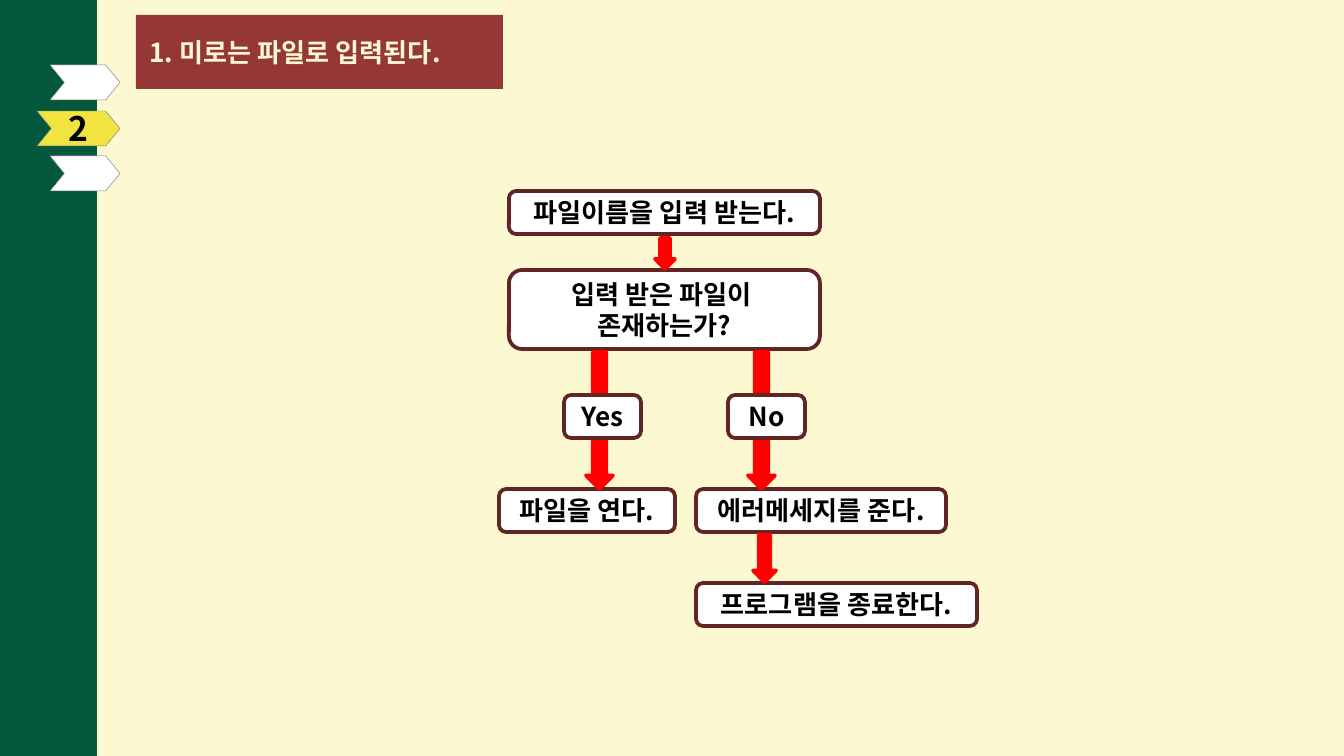
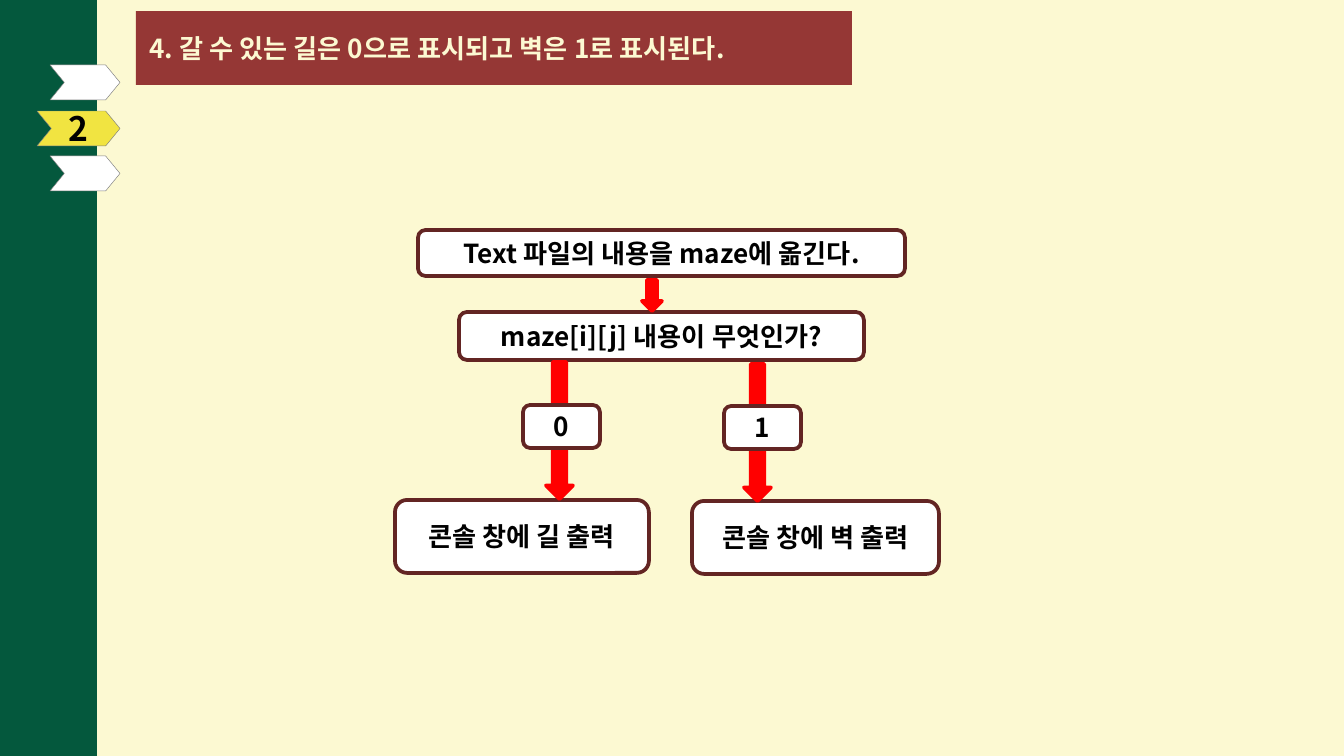
import dataclasses

import lxml.etree
import pptx
import pptx.dml.color
import pptx.enum.shapes
import pptx.enum.text
import pptx.oxml.ns
import pptx.util


@dataclasses.dataclass(frozen=True)
class Theme:
    background: str = "FCF9D2"
    band: str = "04583D"
    title_fill: str = "953735"
    title_text: str = "FCF9D2"
    active: str = "F1E441"
    white: str = "FFFFFF"
    gray: str = "808080"
    outline: str = "632523"
    arrow: str = "FF0000"
    text: str = "000000"
    font: str = "Noto Sans CJK KR"
    body_size: int = 14
    number_size: int = 18
    hairline: float = 0.25
    border: int = 2


THEME = Theme()
EMU_PER_PX = 914400 / 134.4
PRESETS = pptx.enum.shapes.MSO_SHAPE
ALIGN = pptx.enum.text.PP_ALIGN
color = pptx.dml.color.RGBColor.from_string


def add_block(slide, preset, bounds, fill, line=None, width=0):
    lengths = [round(value * EMU_PER_PX) for value in bounds]
    shape = slide.shapes.add_shape(preset, *lengths)
    shape.shadow.inherit = False
    shape.fill.solid()
    shape.fill.fore_color.rgb = color(fill)
    if line:
        shape.line.color.rgb = color(line)
        shape.line.width = pptx.util.Pt(width)
    else:
        shape.line.fill.background()
    return shape


def write_text(shape, text, size, text_color, alignment):
    frame = shape.text_frame
    frame.text = text
    frame.word_wrap = True
    frame.auto_size = pptx.enum.text.MSO_AUTO_SIZE.NONE
    frame.vertical_anchor = pptx.enum.text.MSO_ANCHOR.MIDDLE
    for paragraph in frame.paragraphs:
        paragraph.alignment = alignment
        for run in paragraph.runs:
            run.font.name = THEME.font
            run.font.size = pptx.util.Pt(size)
            run.font.bold = True
            run.font.color.rgb = color(text_color)
            east_asian = lxml.etree.SubElement(run.font._element, pptx.oxml.ns.qn("a:ea"))
            east_asian.set("typeface", THEME.font)


BOX_HEIGHT = 43
LABEL_SIZE = (77, BOX_HEIGHT)
SHORT_ARROW = (20, 31)
LONG_ARROW = (27, 137)

SLIDES = [
    {
        "title": "1. 미로는 파일로 입력된다.",
        "title_bounds": (136, 15, 367, 74),
        "steps": [
            ("파일이름을 입력 받는다.", (509, 191, 311, BOX_HEIGHT)),
            ("입력 받은 파일이 \n존재하는가?", (509, 270, 311, 79)),
            ("파일을 연다.", (499, 489, 176, BOX_HEIGHT)),
            ("에러메세지를 준다.", (696, 489, 250, BOX_HEIGHT)),
            ("프로그램을 종료한다.", (696, 583, 281, BOX_HEIGHT)),
        ],
        "arrows": [
            (655, 238, *SHORT_ARROW),
            (586, 352, *LONG_ARROW),
            (748, 352, *LONG_ARROW),
            (753, 535, 23, 47),
        ],
        "labels": [
            ("Yes", (564, 395, *LABEL_SIZE)),
            ("No", (728, 395, *LABEL_SIZE)),
        ],
    },
    {
        "title": "4. 갈 수 있는 길은 0으로 표시되고 벽은 1로 표시된다.",
        "title_bounds": (136, 11, 716, 74),
        "steps": [
            ("Text 파일의 내용을 maze에 옮긴다.", (418, 230, 487, 46)),
            ("maze[i][j] 내용이 무엇인가?", (459, 312, 405, 48)),
            ("콘솔 창에 길 출력", (395, 500, 254, 73)),
            ("콘솔 창에 벽 출력", (692, 501, 247, 73)),
        ],
        "arrows": [
            (642, 280, *SHORT_ARROW),
            (546, 362, *LONG_ARROW),
            (744, 364, *LONG_ARROW),
        ],
        "labels": [
            ("0", (523, 405, *LABEL_SIZE)),
            ("1", (724, 406, *LABEL_SIZE)),
        ],
    },
]

CHEVRONS = [
    ("", (50, 65, 70, 35), THEME.white),
    ("2", (37, 111, 83, 35), THEME.active),
    ("", (50, 156, 70, 35), THEME.white),
]

presentation = pptx.Presentation()
presentation.slide_width = round(1344 * EMU_PER_PX)
presentation.slide_height = round(756 * EMU_PER_PX)
title_only = presentation.slide_layouts[5]

for content in SLIDES:
    slide = presentation.slides.add_slide(title_only)
    slide.background.fill.solid()
    slide.background.fill.fore_color.rgb = color(THEME.background)

    add_block(slide, PRESETS.RECTANGLE, (-62, -13, 159, 782), THEME.band)
    for number, bounds, fill in CHEVRONS:
        chevron = add_block(slide, PRESETS.CHEVRON, bounds, fill, THEME.gray, THEME.hairline)
        chevron.adjustments[0] = 0.41
        if number:
            write_text(chevron, number, THEME.number_size, THEME.text, ALIGN.CENTER)

    title = slide.shapes.title
    title.left, title.top, title.width, title.height = [
        round(value * EMU_PER_PX) for value in content["title_bounds"]
    ]
    geometry = lxml.etree.Element(pptx.oxml.ns.qn("a:prstGeom"), prst="roundRect")
    lxml.etree.SubElement(geometry, pptx.oxml.ns.qn("a:avLst"))
    title._element.spPr.insert(1, geometry)
    title.fill.solid()
    title.fill.fore_color.rgb = color(THEME.title_fill)
    write_text(title, content["title"], THEME.body_size, THEME.title_text, ALIGN.LEFT)

    for group in ("steps", "arrows", "labels"):
        for item in content[group]:
            if group == "arrows":
                add_block(slide, PRESETS.DOWN_ARROW, item, THEME.arrow, THEME.arrow, THEME.border)
            else:
                text, bounds = item
                box = add_block(
                    slide, PRESETS.ROUNDED_RECTANGLE, bounds, THEME.white, THEME.outline, THEME.border
                )
                write_text(box, text, THEME.body_size, THEME.text, ALIGN.CENTER)

presentation.save("out.pptx")
